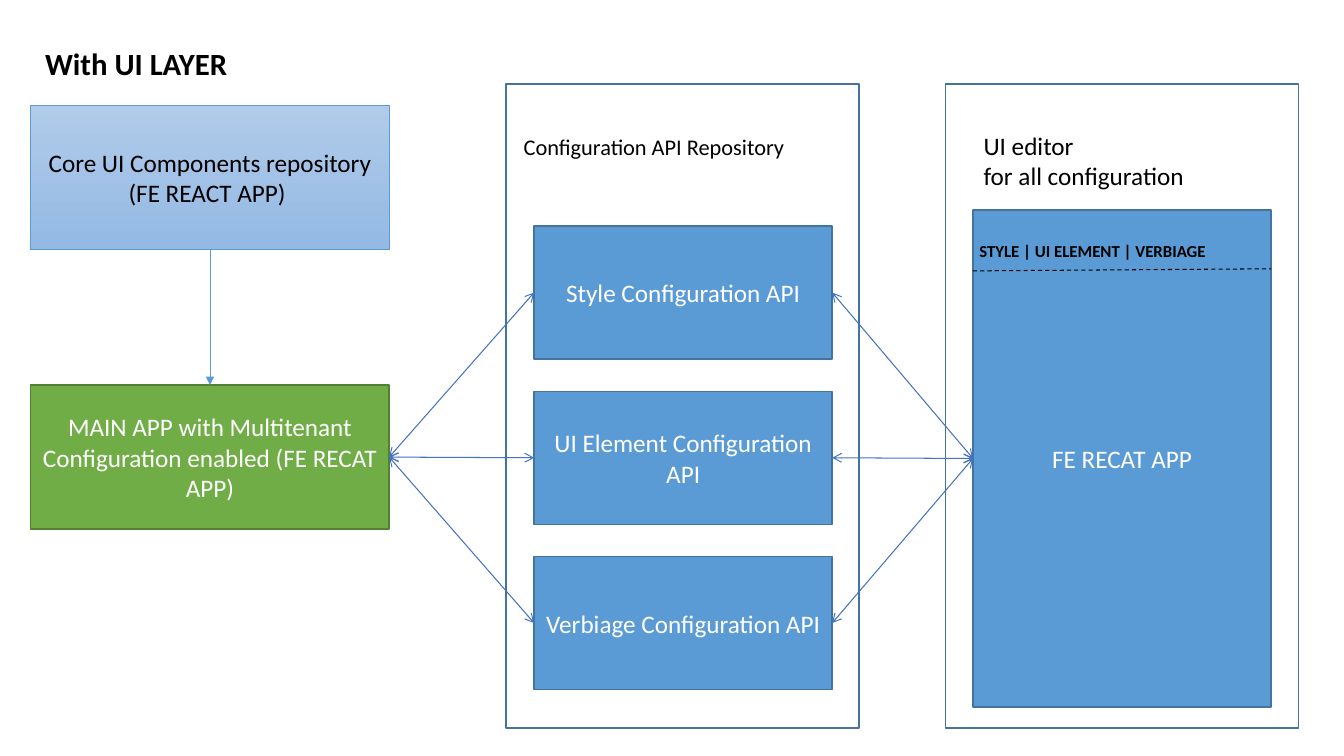
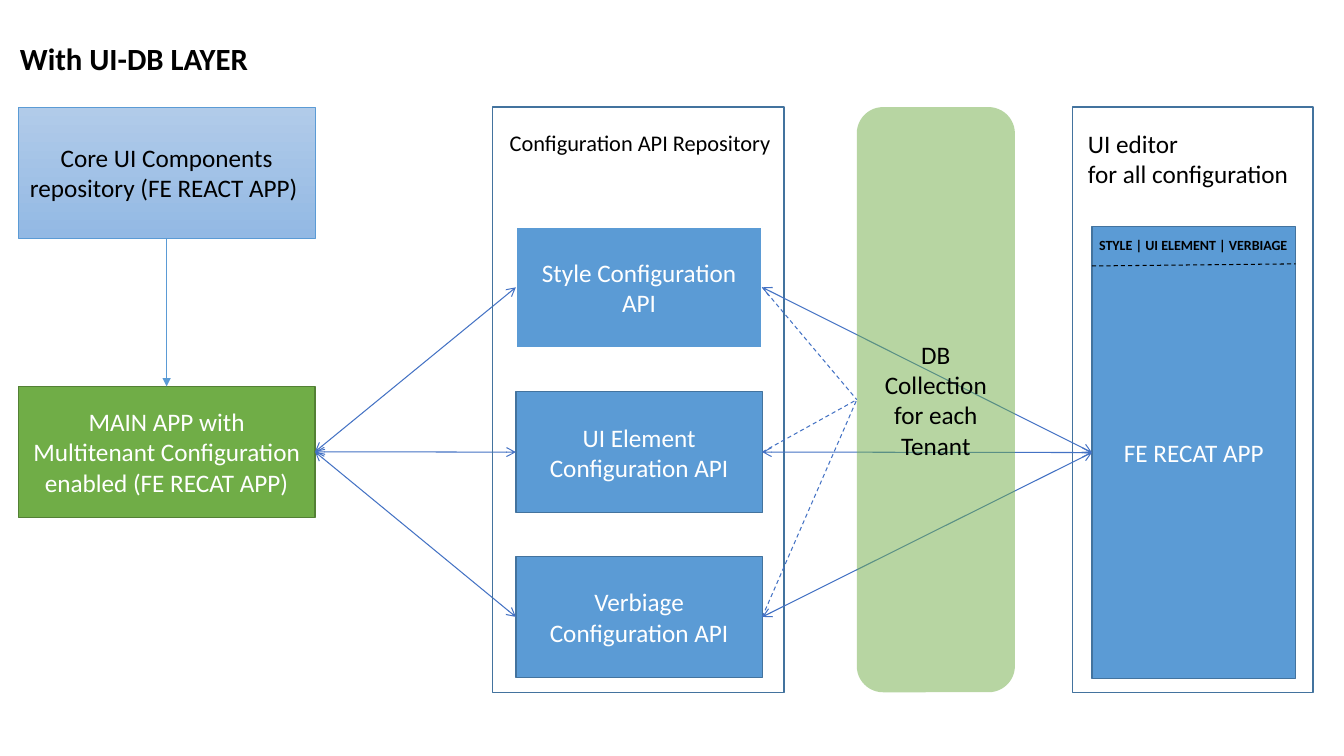
"""Build two slides that compare a UI layer with a UI-DB layer."""
import pptx
import pptx.dml.color
import pptx.enum.dml
import pptx.enum.shapes
import pptx.enum.text
import pptx.oxml
import pptx.oxml.ns
import pptx.util

Pt = pptx.util.Pt
Shape = pptx.enum.shapes.MSO_SHAPE
Align = pptx.enum.text.PP_ALIGN
Anchor = pptx.enum.text.MSO_ANCHOR
qn = pptx.oxml.ns.qn

FONT = "Calibri"
BLACK, WHITE = "000000", "FFFFFF"
BLUE, BLUE_EDGE, ARROW = "5B9BD5", "43739E", "4472C4"
GREEN, GREEN_EDGE = "70AD47", "538035"
PALE = ("B1CBE9", "93B9E4")
TOP, LEFT, BOTTOM, RIGHT = range(4)
API_NAMES = ("Style Configuration API", "UI Element Configuration API",
             "Verbiage Configuration API")


def rgb(value):
    return pptx.dml.color.RGBColor.from_string(value)


def add_child(parent, tag, **attributes):
    child = parent.makeelement(qn(tag), attributes)
    parent.append(child)


class Diagram:
    def __init__(self, deck, title, place):
        self.slide = deck.slides.add_slide(deck.slide_layouts[5])
        heading = self.slide.shapes.title
        heading.left, heading.top, heading.width, heading.height = map(Pt, place)
        self.set_text(heading, title, 22, BLACK, bold=True)

    def set_text(self, holder, text, size, color, bold=False,
                 align=Align.LEFT, anchor=Anchor.TOP):
        frame = holder.text_frame
        frame.word_wrap = True
        frame.auto_size = pptx.enum.text.MSO_AUTO_SIZE.NONE
        frame.vertical_anchor = anchor
        if align == Align.LEFT:
            frame.margin_right = 0
        paragraph = frame.paragraphs[0]
        paragraph.alignment = align
        for index, line in enumerate(text.split("\n")):
            if index:
                paragraph.add_line_break()
            run = paragraph.add_run()
            run.text = line
            run.font.name, run.font.size, run.font.bold = FONT, Pt(size), bold
            run.font.color.rgb = rgb(color)

    def label(self, text, place, size, bold=False):
        holder = self.slide.shapes.add_textbox(*map(Pt, place))
        self.set_text(holder, text, size, BLACK, bold)

    def box(self, place, text="", fill=None, edge=BLUE_EDGE, width=1,
            color=WHITE, kind=Shape.RECTANGLE, alpha=None):
        box = self.slide.shapes.add_shape(kind, *map(Pt, place))
        box.shadow.inherit = False
        if fill is None:
            box.fill.background()
        elif isinstance(fill, tuple):
            box.fill.gradient()
            box.fill.gradient_angle = 270
            for stop, tone in zip(box.fill.gradient_stops, fill):
                stop.color.rgb = rgb(tone)
        else:
            box.fill.solid()
            box.fill.fore_color.rgb = rgb(fill)
        if alpha:
            tone = box._element.spPr.find(qn("a:solidFill")).find(qn("a:srgbClr"))
            add_child(tone, "a:alpha", val=str(alpha * 1000))
        if edge:
            box.line.color.rgb = rgb(edge)
            box.line.width = Pt(width)
        else:
            box.line.fill.background()
        if text:
            self.set_text(box, text, 18, color, align=Align.CENTER,
                          anchor=Anchor.MIDDLE)
        return box

    def line(self, ends=(0, 0, 0, 0), color=ARROW, width=0.75, dashed=False,
             head=None, tail=None):
        line = self.slide.shapes.add_connector(
            pptx.enum.shapes.MSO_CONNECTOR.STRAIGHT, *map(Pt, ends))
        line.line.color.rgb = rgb(color)
        line.line.width = Pt(width)
        if dashed:
            line.line.dash_style = pptx.enum.dml.MSO_LINE.DASH
        properties = line._element.spPr
        for tag, arrow in (("a:headEnd", head), ("a:tailEnd", tail)):
            if arrow:
                add_child(properties.find(qn("a:ln")), tag, type=arrow)
        add_child(properties, "a:effectLst")
        return line

    def link(self, start, start_side, end, end_side, **style):
        line = self.line(**style)
        line.begin_connect(start, start_side)
        line.end_connect(end, end_side)

    def flow(self, core_place, main_top, api_place, api_pitch, style_edge=(BLUE_EDGE, 1)):
        left, top, width, height = core_place
        core = self.box(core_place, "Core UI Components repository (FE REACT APP) ",
                        PALE, BLUE, 0.5, BLACK)
        main_app = self.box((left, main_top, width, height),
                            "MAIN APP with Multitenant Configuration enabled (FE RECAT APP)",
                            GREEN, GREEN_EDGE)
        self.link(core, BOTTOM, main_app, TOP, color=BLUE, width=0.5, tail="triangle")
        left, top, width, height = api_place
        apis = []
        for row, name in enumerate(API_NAMES):
            edge, edge_width = (BLUE_EDGE, 1) if row else style_edge
            api = self.box((left, top + row * api_pitch, width, height),
                           name, BLUE, edge, edge_width)
            self.link(main_app, RIGHT, api, LEFT, head="arrow", tail="arrow")
            apis.append(api)
        return apis

    def repository(self, panel_place, label_place):
        self.box(panel_place)
        self.label("Configuration API Repository", label_place, 16)

    def editor(self, panel_place, label_place, app_place, tabs_place, tabs_size,
               rule_top, apis):
        self.box(panel_place)
        self.label("UI editor \nfor all configuration", label_place, 18)
        app = self.box(app_place, "FE RECAT APP", BLUE)
        left, width = app_place[0], app_place[2]
        self.line((left, rule_top, left + width, rule_top - 1.5), BLACK, dashed=True)
        self.label("STYLE | UI ELEMENT | VERBIAGE", tabs_place, tabs_size, bold=True)
        for api in apis:
            self.link(api, RIGHT, app, LEFT, head="arrow", tail="arrow")

    def database(self, place, apis):
        store = self.box(place, "DB Collection for each Tenant", GREEN, None,
                         color=BLACK, kind=Shape.ROUNDED_RECTANGLE, alpha=50)
        for api in apis:
            self.link(api, RIGHT, store, LEFT, dashed=True)


def main():
    deck = pptx.Presentation()
    deck.slide_width, deck.slide_height = Pt(960), Pt(540)

    ui = Diagram(deck, "With UI LAYER", (25, 28, 161, 38))
    apis = ui.flow((22, 75.5, 256, 103), 275, (381.5, 161.5, 213, 95), 118)
    ui.repository((361.5, 60, 252, 460), (367, 91.5, 246, 29))
    ui.editor((675.5, 60, 252, 460), (695.5, 89.5, 222, 56), (695, 150, 213, 355),
              (692.5, 168.5, 216, 24), 12, 193.5, apis)

    ui_db = Diagram(deck, "With UI-DB LAYER", (7, 25, 179, 34))
    apis = ui_db.flow((13, 76.5, 212, 93.5), 276, (368.5, 162, 176, 86.5), 117.7,
                      (WHITE, 1.5))
    ui_db.repository((352, 76.5, 208, 418), (357, 88.5, 203, 27))
    ui_db.editor((766, 76.5, 172, 418), (770, 88, 184, 51), (780, 162, 145.5, 322.5),
                 (778, 165.5, 151, 19.5), 10, 190, apis)
    ui_db.database((612, 76.5, 113, 418), apis)

    deck.save("out.pptx")


if __name__ == "__main__":
    main()
